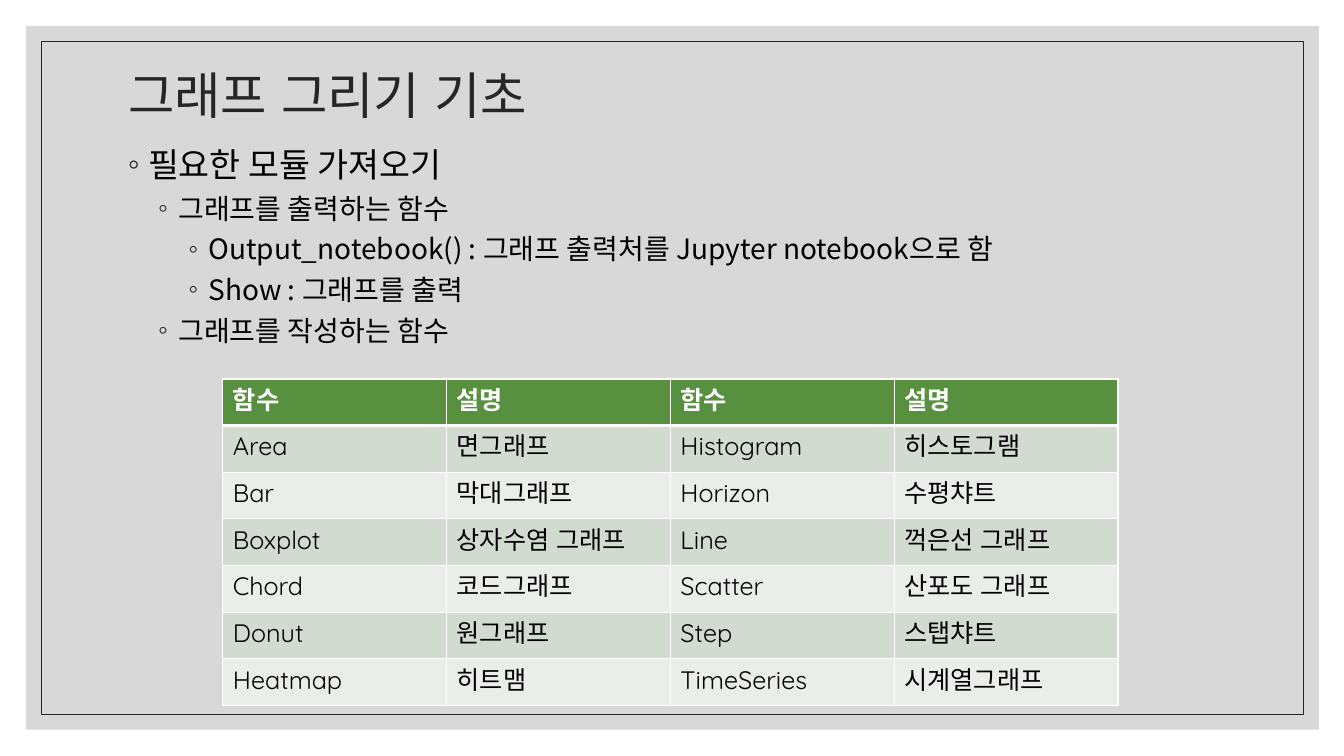
from pptx import Presentation
from pptx.dml.color import RGBColor as RGB
from pptx.enum.shapes import MSO_SHAPE as Shape
from pptx.enum.text import MSO_ANCHOR as Anchor, PP_ALIGN as Align
from pptx.oxml import parse_xml
from pptx.oxml.ns import nsdecls, qn
from pptx.util import Inches, Pt

TITLE = "그래프 그리기 기초"
BODY = [  # level, text
    (0, "필요한 모듈 가져오기"),
    (1, "그래프를 출력하는 함수"),
    (2, "Output_notebook() : 그래프 출력처를 Jupyter notebook으로 함"),
    (2, "Show : 그래프를 출력"),
    (1, "그래프를 작성하는 함수"),
]
ROWS = [
    ("함수", "설명", "함수", "설명"),
    ("Area", "면그래프", "Histogram", "히스토그램"),
    ("Bar", "막대그래프", "Horizon", "수평챠트"),
    ("Boxplot", "상자수염 그래프", "Line", "꺽은선 그래프"),
    ("Chord", "코드그래프", "Scatter", "산포도 그래프"),
    ("Donut", "원그래프", "Step", "스탭챠트"),
    ("Heatmap", "히트맴", "TimeSeries", "시계열그래프"),
]
COLORS = {"ink": "262626", "text": "000000", "white": "FFFFFF", "panel": "BFBFBF",
          "head": "57903F", "odd": "D1DBCF", "even": "EAEEE8"}


def color(name):
    return RGB.from_string(COLORS[name])


def write(para, text, size=18, font="Noto Sans CJK KR", ink="text", bold=False):
    run = para.add_run()
    run.text = text
    face = run.font
    face.size, face.name, face.bold = Pt(size), font, bold
    face.color.rgb = color(ink)
    face._element.append(parse_xml(f'<a:ea {nsdecls("a")} typeface="{font}"/>'))


def bullet(para, level):
    props = para._p.get_or_add_pPr()
    props.set("marL", str(Inches(0.2 + 0.3 * level)))
    props.set("indent", str(Inches(-0.2)))
    props.append(parse_xml(
        f'<a:buClr {nsdecls("a")}><a:srgbClr val="{COLORS["ink"]}"/></a:buClr>'))
    props.append(parse_xml(f'<a:buFont {nsdecls("a")} typeface="Arial"/>'))
    props.append(parse_xml(f'<a:buChar {nsdecls("a")} char="◦"/>'))


def border(cell, side, width):
    cell._tc.get_or_add_tcPr().append(parse_xml(
        f'<a:{side} {nsdecls("a")} w="{Pt(width)}"><a:solidFill>'
        f'<a:srgbClr val="{COLORS["white"]}"/></a:solidFill></a:{side}>'))


def frame(inset, width, height):
    box = slide.shapes.add_shape(Shape.RECTANGLE, Inches(inset), Inches(inset),
                                 Inches(width), Inches(height))
    box.shadow.inherit = False
    return box


deck = Presentation()
deck.slide_width, deck.slide_height = Inches(13.33), Inches(7.5)
slide = deck.slides.add_slide(deck.slide_layouts[5])

# Grey panel and thin frame, behind the title
panel = frame(0.26, 12.82, 6.98)
panel.fill.solid()
panel.fill.fore_color.rgb = color("panel")
panel.fill._xPr.find(".//" + qn("a:srgbClr")).append(
    parse_xml(f'<a:alpha {nsdecls("a")} val="60000"/>'))
panel.line.fill.background()
rim = frame(0.41, 12.52, 6.68)
rim.fill.background()
rim.line.color.rgb = color("ink")
rim.line.width = Pt(0.5)

# Title
title = slide.shapes.title
slide.shapes._spTree.append(title._element)
title.left, title.top = Inches(1.17), Inches(0.7)
title.width, title.height = Inches(11), Inches(0.55)
title.text_frame.vertical_anchor = Anchor.MIDDLE
para = title.text_frame.paragraphs[0]
para.alignment = Align.LEFT
para.line_spacing = 0.9
write(para, TITLE, size=36, font="Arial", ink="ink")

# Bulleted outline
body = slide.shapes.add_textbox(Inches(1.17), Inches(1.34), Inches(11), Inches(5.17))
text = body.text_frame
text.word_wrap = True
for i, (level, line) in enumerate(BODY):
    para = text.add_paragraph() if i else text.paragraphs[0]
    para.level = level
    if i:
        para.space_before = Pt(5)
    else:
        para.line_spacing = 1.1
    bullet(para, level)
    write(para, line, size=20 if level else 24)

# Table of chart functions
grid = slide.shapes.add_table(len(ROWS), len(ROWS[0]), Inches(2.21), Inches(3.76),
                              Inches(8.88), Inches(3.24)).table
for r, row in enumerate(ROWS):
    for c, word in enumerate(row):
        cell = grid.cell(r, c)
        for side in ("lnL", "lnR", "lnT", "lnB"):
            thick = (r, side) in ((0, "lnB"), (1, "lnT"))
            border(cell, side, 3 if thick else 1)
        cell.fill.solid()
        cell.fill.fore_color.rgb = color("odd" if r % 2 else "even" if r else "head")
        write(cell.text_frame.paragraphs[0], word, font="Quicksand",
              ink="text" if r else "white", bold=r == 0)

deck.save("out.pptx")
